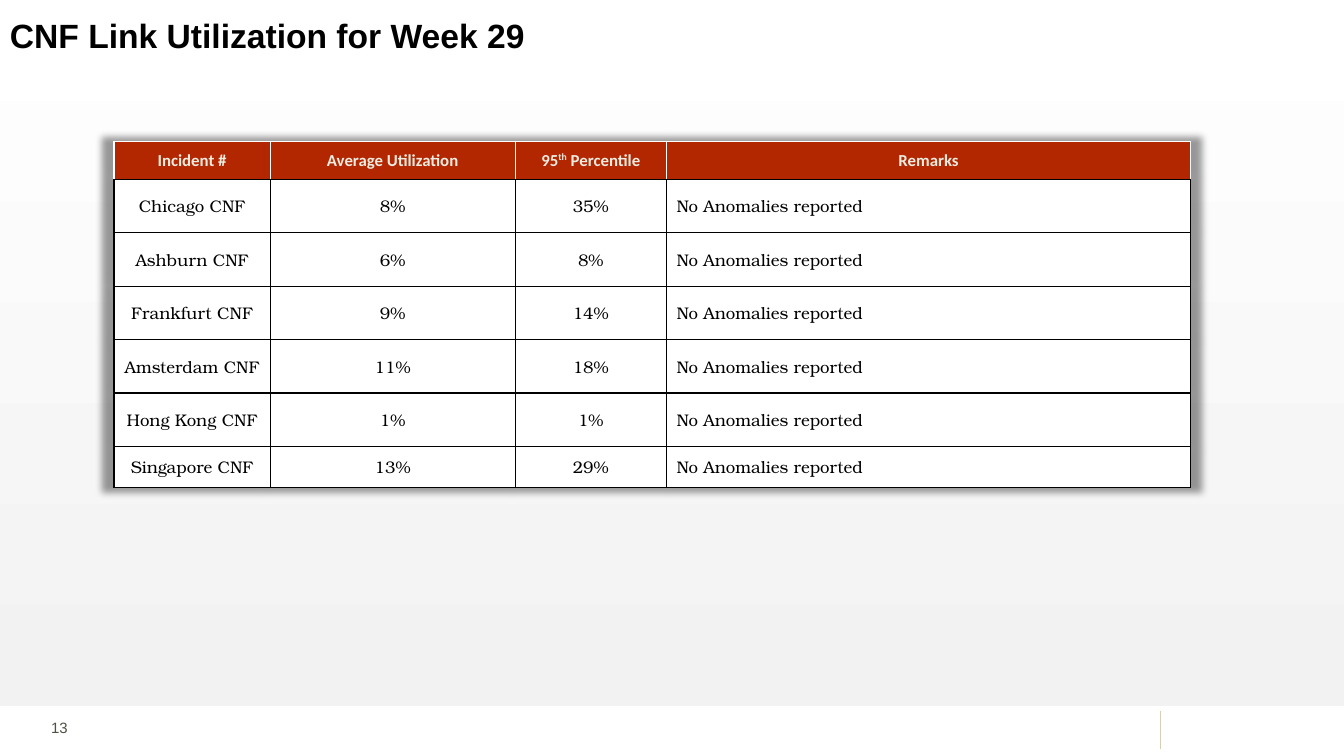
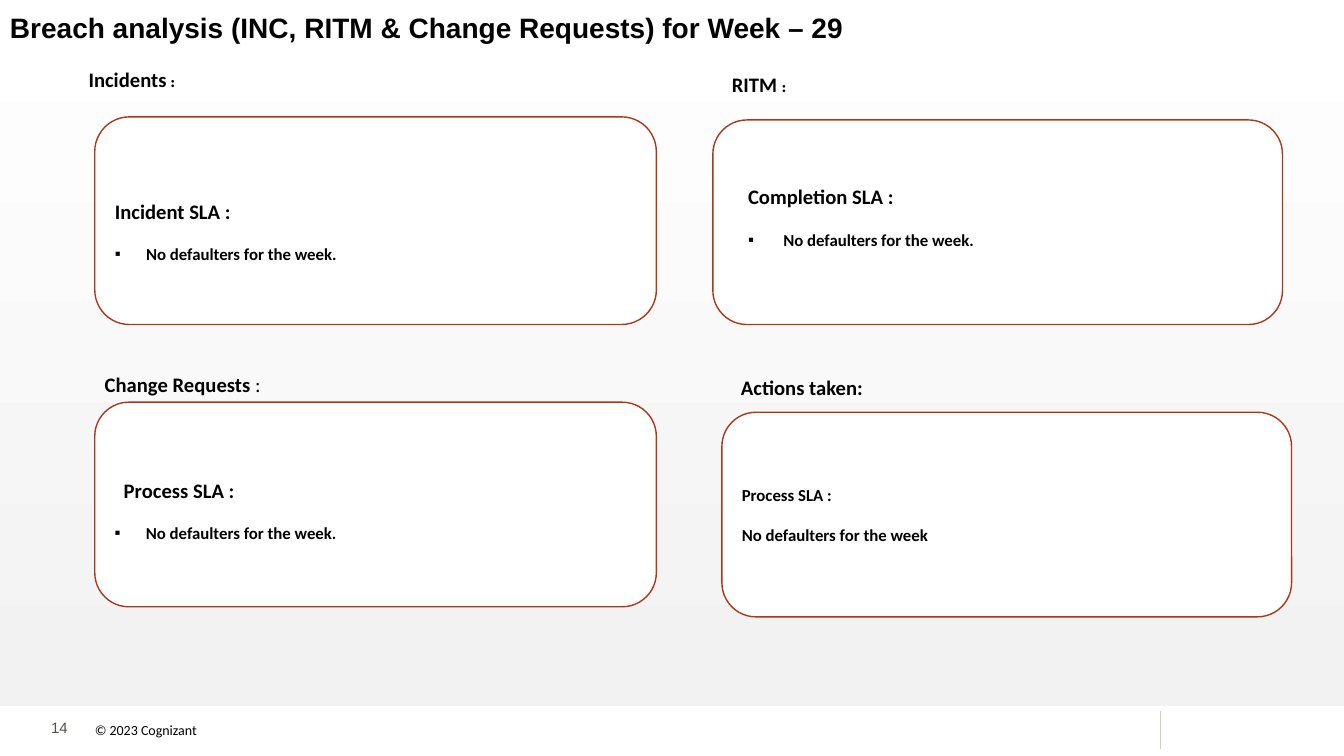
from dataclasses import dataclass

from lxml import etree
from pptx import Presentation, util as u
from pptx.dml.color import RGBColor
from pptx.enum import shapes, text
from pptx.oxml import parse_xml
from pptx.oxml.ns import nsdecls, qn


@dataclass(frozen=True)
class Theme:
    ink: str = "000000"
    paper: str = "FFFFFF"
    haze: str = "F2F2F2"
    number: str = "505046"
    rule: str = "D5D0B5"
    header: str = "B22600"
    header_ink: str = "EEECE1"
    outline: str = "AC3819"
    title_font: str = "Arial"
    body_font: str = "Calibri"
    data_font: str = "TeX Gyre Bonum"
    colon_font: str = "League Spartan"
    heading_size: float = 14.7
    body_size: float = 12
    colon_size: float = 11
    footer_size: float = 10
    number_size: float = 10.7


THEME = Theme()
PX = 9144
PAGE_SIZE = (1333, 750)

UTILIZATION = {
    "title": ("CNF Link Utilization for Week 29", (0, 0, 1259, 74), 24),
    "number": "13",
    "corner": (113, 140),
    "columns": [155, 243, 150, 520],
    "rows": [38, 53, 53, 53, 53, 53, 41],
    "header": ["Incident #", "Average Utilization", "95^th^ Percentile", "Remarks"],
    "links": [
        ("Chicago CNF", "8%", "35%"),
        ("Ashburn CNF", "6%", "8%"),
        ("Frankfurt CNF", "9%", "14%"),
        ("Amsterdam CNF", "11%", "18%"),
        ("Hong Kong CNF", "1%", "1%"),
        ("Singapore CNF", "13%", "29%"),
    ],
    "remark": "No Anomalies reported",
}

BREACHES = {
    "title": ("Breach analysis (INC, RITM & Change Requests) for Week – 29",
              (0, 3, 1259, 53), 20),
    "number": "14",
    "copyright": ("© 2023 Cognizant", (94, 706, 667, 27)),
    "labels": [
        ("Incidents", " :", (78, 61, 257, 35), dict(size=THEME.colon_size, font=THEME.colon_font)),
        ("RITM ", ":", (716, 66, 257, 35), dict(size=THEME.colon_size, font=THEME.colon_font)),
        ("Change Requests ", ":", (94, 364, 305, 35), dict(size=THEME.heading_size, bold=False)),
        ("Actions taken:", "", (725, 367, 528, 55), {}),
    ],
    "panels": [
        dict(box=(94, 116, 557, 206), inset=(10, 71), heading="Incident SLA :",
             body="No defaulters for the week.", bullet=31),
        dict(box=(707, 119, 565, 203), inset=(25, 54), heading="Completion SLA :",
             body="No defaulters for the week.", bullet=35),
        dict(box=(94, 399, 557, 203), inset=(10, 65), heading="Process SLA :",
             body="No defaulters for the week.", bullet=31, shift=9),
        dict(box=(716, 409, 565, 203), inset=(10, 62), heading="Process SLA :",
             body="No defaulters for the week", size=THEME.body_size),
    ],
}


def px(*lengths):
    return [u.Emu(length * PX) for length in lengths]


def rgb(value):
    return RGBColor.from_string(value)


def write(para, words, size=THEME.body_size, font=THEME.body_font,
          color=THEME.ink, bold=False, raised=False):
    span = para.add_run()
    span.text = words
    span.font.size = u.Pt(size)
    span.font.name = font
    span.font.bold = bold
    span.font.color.rgb = rgb(color)
    if raised:
        span.font.fill
        span._r.get_or_add_rPr().set("baseline", "30000")


def set_insets(frame, left, top, right, bottom):
    frame.margin_left, frame.margin_top, frame.margin_right, frame.margin_bottom = px(
        left, top, right, bottom)


def add_box(page, box, insets=(10, 5, 10, 5), anchor=text.MSO_ANCHOR.TOP):
    frame = page.shapes.add_textbox(*px(*box)).text_frame
    frame.word_wrap = True
    frame.vertical_anchor = anchor
    set_insets(frame, *insets)
    return frame.paragraphs[0]


def add_shape(page, kind, box):
    shape = page.shapes.add_shape(kind, *px(*box))
    shape.shadow.inherit = False
    return shape


def add_page(deck, content):
    page = deck.slides.add_slide(deck.slide_layouts[6])
    backdrop = add_shape(page, shapes.MSO_SHAPE.RECTANGLE, (0, 0, 1333, 700))
    backdrop.fill.gradient()
    backdrop.fill.gradient_angle = 90
    for stop, color, position in zip(backdrop.fill.gradient_stops,
                                     (THEME.haze, THEME.paper), (0, 1)):
        stop.color.rgb = rgb(color)
        stop.position = position
    backdrop.line.fill.background()

    write(add_box(page, (41, 708, 76, 28)), content["number"],
          size=THEME.number_size, font=THEME.title_font, color=THEME.number)
    rule = page.shapes.add_connector(shapes.MSO_CONNECTOR.STRAIGHT,
                                     *px(1151, 705, 1151, 743))
    rule.line.color.rgb = rgb(THEME.rule)
    rule.line.width = u.Pt(0.5)
    etree.SubElement(rule._element.spPr, qn("a:effectLst"))

    words, box, size = content["title"]
    para = add_box(page, box, anchor=text.MSO_ANCHOR.MIDDLE)
    para.line_spacing = 0.9
    write(para, words, size=size, font=THEME.title_font, bold=True)
    return page


def set_borders(cell, colors):
    props = cell._tc.get_or_add_tcPr()
    for place, (side, color) in enumerate(zip("LRTB", colors)):
        props.insert(place, parse_xml(
            f'<a:ln{side} {nsdecls("a")} w="12700"><a:solidFill>'
            f'<a:srgbClr val="{color}"/></a:solidFill></a:ln{side}>'))


def fill_cell(cell, words, is_header, is_remark):
    cell.fill.solid()
    cell.fill.fore_color.rgb = rgb(THEME.header if is_header else THEME.paper)
    cell.vertical_anchor = text.MSO_ANCHOR.MIDDLE
    side = 10 if is_header or is_remark else 0
    set_insets(cell, side, 0, side, 0)
    edge = THEME.paper if is_header else THEME.ink
    set_borders(cell, (edge, edge, edge, THEME.ink))
    para = cell.text_frame.paragraphs[0]
    centred = is_header or not is_remark
    para.alignment = text.PP_ALIGN.CENTER if centred else text.PP_ALIGN.LEFT
    style = (dict(color=THEME.header_ink, bold=True) if is_header
             else dict(font=THEME.data_font))
    for index, part in enumerate(words.split("^")):
        write(para, part, raised=index % 2 == 1, **style)


def build_utilization(deck, content):
    page = add_page(deck, content)
    widths, heights = content["columns"], content["rows"]
    box = (*content["corner"], sum(widths), sum(heights))
    table = page.shapes.add_table(len(heights), len(widths), *px(*box)).table
    table.first_row = table.horz_banding = False
    table._tbl.tblPr.insert(0, parse_xml(
        f'<a:effectLst {nsdecls("a")}><a:outerShdw blurRad="63500" sx="102000" '
        'sy="102000" algn="ctr" rotWithShape="0"><a:srgbClr val="000000">'
        '<a:alpha val="40000"/></a:srgbClr></a:outerShdw></a:effectLst>'))
    for column, width in zip(table.columns, px(*widths)):
        column.width = width
    for row, height in zip(table.rows, px(*heights)):
        row.height = height
    records = [content["header"]] + [(*link, content["remark"]) for link in content["links"]]
    for r, record in enumerate(records):
        for c, words in enumerate(record):
            fill_cell(table.cell(r, c), words, r == 0, c == len(widths) - 1)


def indent(para, left, first=0, bullet=None):
    props = para._p.get_or_add_pPr()
    props.set("marL", str(left * PX))
    props.set("indent", str(first * PX))
    if bullet:
        etree.SubElement(props, qn("a:buFont")).set("typeface", THEME.title_font)
        etree.SubElement(props, qn("a:buChar")).set("char", bullet)


def add_panel(page, box, inset, heading, body, bullet=0, shift=0, size=THEME.heading_size):
    panel = add_shape(page, shapes.MSO_SHAPE.ROUNDED_RECTANGLE, box)
    panel.fill.solid()
    panel.fill.fore_color.rgb = rgb(THEME.paper)
    panel.line.color.rgb = rgb(THEME.outline)
    panel.line.width = u.Pt(1)
    frame = panel.text_frame
    frame.word_wrap = True
    frame.vertical_anchor = text.MSO_ANCHOR.TOP
    set_insets(frame, *inset, 10, 5)
    first, second = frame.paragraphs[0], frame.add_paragraph()
    second.space_before = u.Pt(14.4)
    indent(first, shift)
    if bullet:
        indent(second, bullet, -bullet, "▪")
    for para, words, points in ((first, heading, size), (second, body, THEME.body_size)):
        para.alignment = text.PP_ALIGN.LEFT
        write(para, words, size=points, bold=True)


def build_breaches(deck, content):
    page = add_page(deck, content)
    words, box = content["copyright"]
    write(add_box(page, box, (0, 0, 0, 0), text.MSO_ANCHOR.BOTTOM), words,
          size=THEME.footer_size)
    for panel in content["panels"]:
        add_panel(page, **panel)
    for label, colon, box, style in content["labels"]:
        para = add_box(page, box)
        write(para, label, size=THEME.heading_size, bold=True)
        if colon:
            write(para, colon, **{"bold": True, **style})


def main():
    deck = Presentation()
    deck.slide_width, deck.slide_height = px(*PAGE_SIZE)
    build_utilization(deck, UTILIZATION)
    build_breaches(deck, BREACHES)
    deck.save("out.pptx")


if __name__ == "__main__":
    main()
